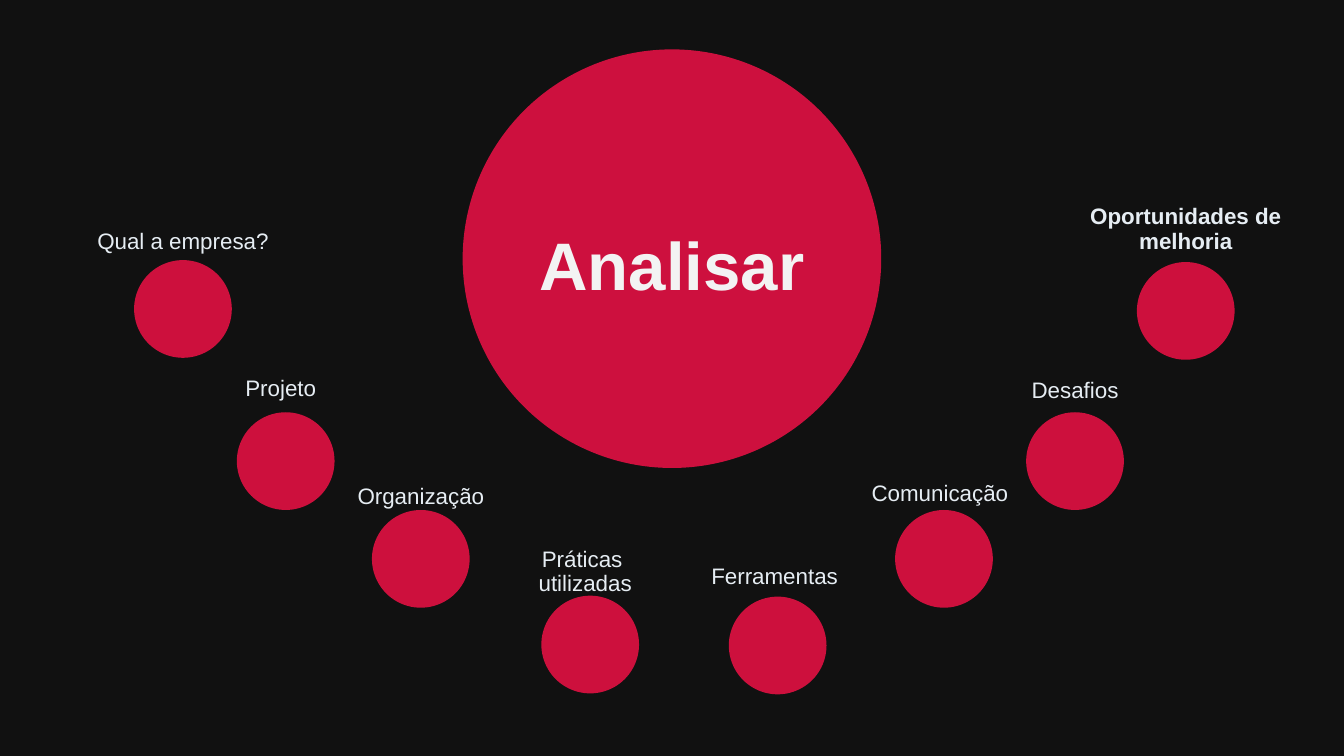
from pptx import Presentation
from pptx.dml.color import RGBColor
from pptx.enum.shapes import MSO_SHAPE
from pptx.enum.text import MSO_ANCHOR, PP_ALIGN
from pptx.util import Pt

OVAL = MSO_SHAPE.OVAL
CENTER = PP_ALIGN.CENTER
TOP, BOTTOM = MSO_ANCHOR.TOP, MSO_ANCHOR.BOTTOM

COLORS = {
    "background": "111111",
    "hub": "CD103E",
    "dot": "CD103D",
    "title": "F3F3F3",
    "label": "E6EDF3",
}
FONT = "Arial"
DOT_SIZE = 69.8
LABEL_WIDTH = 170

# Topic, label centre, label top, label height, dot centre, dot top, bold
TOPICS = [
    ("Qual a empresa?", 130.7, 160.6, 44.6, 130.7, 185.8, False),
    ("Projeto", 200.5, 265.7, 44.6, 204.1, 294.5, False),
    ("Organização", 300.6, 342.7, 44.6, 300.6, 364.3, False),
    ("Práticas \vutilizadas", 418, 388.1, 44.6, 421.6, 425.5, False),
    ("Ferramentas", 553.3, 400.3, 44.6, 555.5, 426.2, False),
    ("Comunicação", 671.4, 340.6, 44.6, 674.3, 364.3, False),
    ("Desafios", 767.9, 267.1, 44.6, 767.9, 294.5, False),
    ("Oportunidades de\vmelhoria", 847, 143.3, 74.9, 847, 187.2, True),
]


class Deck:
    def __init__(self):
        self.prs = Presentation()
        self.prs.slide_width, self.prs.slide_height = Pt(960), Pt(540)
        self.slide = self.prs.slides.add_slide(self.prs.slide_layouts[6])
        fill = self.slide.background.fill
        fill.solid()
        fill.fore_color.rgb = self.color("background")

    def color(self, name):
        return RGBColor.from_string(COLORS[name])

    def circle(self, center, top, size, color):
        sp = self.slide.shapes.add_shape(
            OVAL, Pt(center - size / 2), Pt(top), Pt(size), Pt(size))
        sp.shadow.inherit = False
        sp.fill.solid()
        sp.fill.fore_color.rgb = self.color(color)
        sp.line.fill.background()

    def text(self, text, center, top, width, height, size, color,
             bold=False, anchor=TOP):
        sp = self.slide.shapes.add_textbox(
            Pt(center - width / 2), Pt(top), Pt(width), Pt(height))
        tf = sp.text_frame
        tf.word_wrap = True
        tf.vertical_anchor = anchor
        p = tf.paragraphs[0]
        p.text = text
        p.alignment = CENTER
        p.line_spacing = 0.9
        p.font.name = FONT
        p.font.size = Pt(size)
        p.font.bold = bold
        p.font.color.rgb = self.color(color)


def main():
    deck = Deck()

    # Central hub
    deck.circle(480, 35.3, 299, "hub")
    deck.text("Analisar", 480, 148.3, 254.2, 73.4, 48, "title",
              bold=True, anchor=BOTTOM)

    # Arc of topics
    for text, center, top, height, dot_center, dot_top, bold in TOPICS:
        deck.text(text, center, top, LABEL_WIDTH, height, 16, "label", bold)
        deck.circle(dot_center, dot_top, DOT_SIZE, "dot")

    deck.prs.save("out.pptx")


if __name__ == "__main__":
    main()
